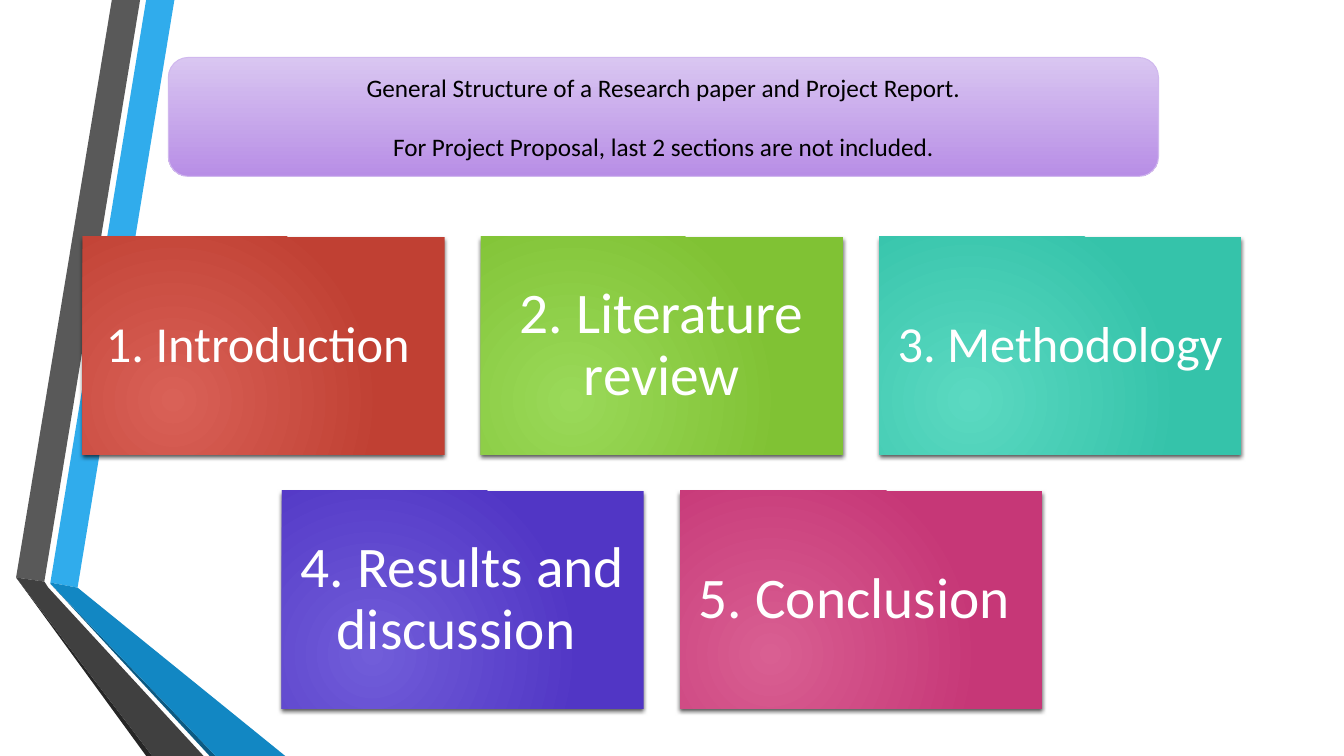
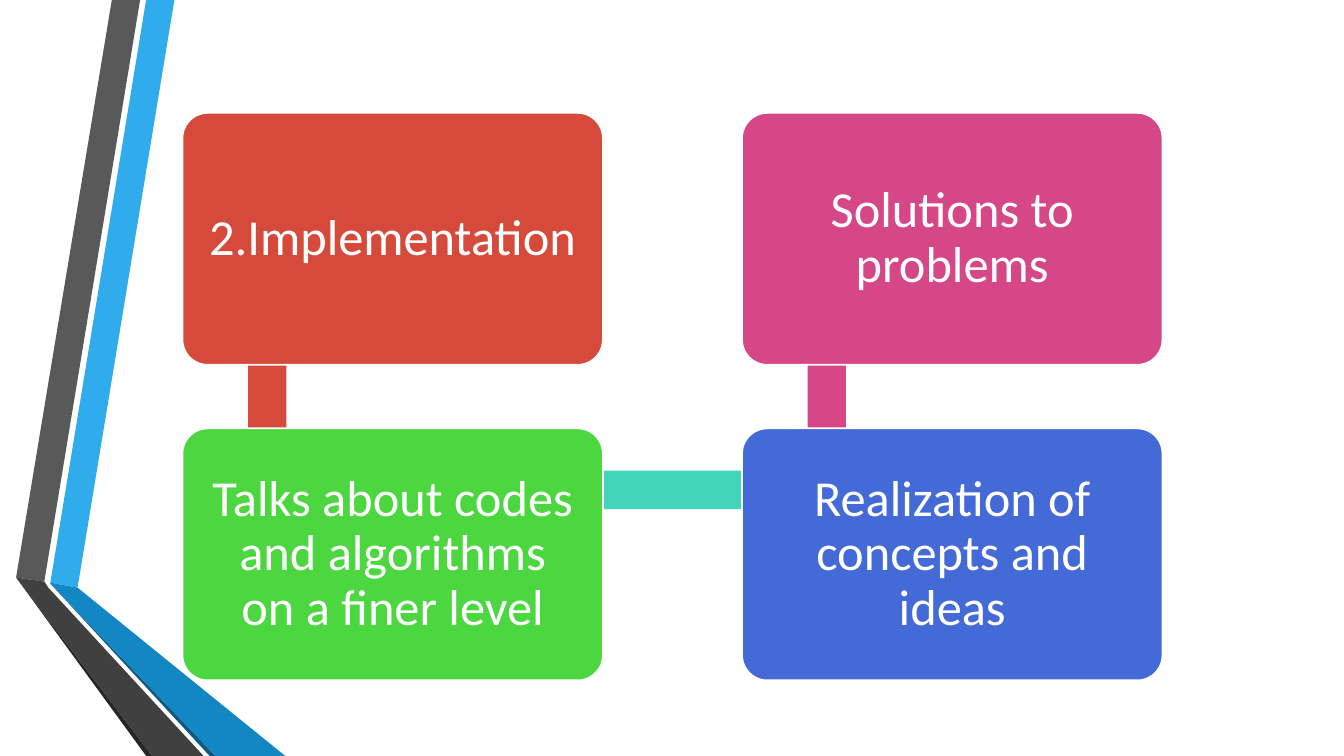
from dataclasses import dataclass
from itertools import product

from lxml.etree import SubElement as Sub
from pptx import Presentation
from pptx.dml.color import RGBColor as Rgb
from pptx.enum.shapes import MSO_SHAPE as Kind
from pptx.enum.text import MSO_ANCHOR as Anchor, PP_ALIGN as Align
from pptx.oxml.ns import qn
from pptx.presentation import Presentation as Deck
from pptx.shapes.autoshape import Shape
from pptx.slide import Slide
from pptx.util import Inches, Pt


@dataclass(frozen=True)
class Theme:
    """Colours, font and type sizes of the deck."""
    font: str = "Calibri"
    small: int = 18
    mid: int = 36
    large: int = 41
    ink: str = "000000"
    paper: str = "FFFFFF"
    edge: str = "D0B8EE"
    head: tuple[str, str] = ("D9C6F1", "B88EE6")
    red: str = "D64A3B"
    green: str = "4CD63F"
    teal: str = "41D6BC"
    blue: str = "436AD6"
    pink: str = "D64787"


@dataclass(frozen=True)
class Grid:
    """Equal cells set out from a corner with fixed gaps."""
    left: float
    top: float
    wide: float
    high: float
    gap_x: float
    gap_y: float

    def cell(self, col: float, row: float) -> tuple[float, float, float, float]:
        """Return the box of a cell in inches."""
        return (self.left + col * (self.wide + self.gap_x),
                self.top + row * (self.high + self.gap_y), self.wide, self.high)


@dataclass(frozen=True)
class Band:
    """One facet of the ribbon along the left edge."""
    fill: str
    dots: tuple[tuple[float, float], ...]


@dataclass(frozen=True)
class Tile:
    """A section of the paper with its two shades."""
    text: str
    tones: tuple[str, str]
    size: int
    pad: float


@dataclass(frozen=True)
class Card:
    """A step of the path with its place on the grid."""
    text: str
    fill: str
    col: int
    row: int


T = Theme()
PARTS = Grid(0.82, 2.35, 3.59, 2.16, 0.36, 0.36)
STEPS = Grid(1.81, 1.12, 4.17, 2.5, 1.38, 0.63)
BAR = 0.38
BANDS = (
    Band("30ACEC", ((0.5, 5.78), (0.77, 5.83), (1.73, 0), (1.45, 0))),
    Band("595959", ((1.39, 0), (1.11, 0), (0.16, 5.73), (0.44, 5.77))),
    Band("262626", ((0.16, 5.73), (1.45, 7.5), (1.51, 7.5))),
    Band("0C5A82", ((0.5, 5.79), (2.08, 7.5), (2.14, 7.5))),
    Band("1287C3", ((0.5, 5.78), (0.5, 5.79), (2.14, 7.5), (2.83, 7.5), (0.77, 5.83))),
    Band("404040", ((2.02, 7.5), (0.48, 5.83), (0.44, 5.77), (0.16, 5.73), (1.51, 7.5))),
)
TILES = (
    Tile("1. Introduction ", ("D96157", "C04033"), T.mid, 0.15),
    Tile("2. Literature review", ("9AD959", "80C234"), T.large, 0.17),
    Tile("3. Methodology ", ("5BD9C1", "35C3AA"), T.mid, 0.15),
    Tile("4. Results and discussion ", ("715DD9", "5136C5"), T.large, 0.17),
    Tile("5. Conclusion ", ("D95F92", "C63777"), T.large, 0.17),
)
CARDS = (
    Card("2.Implementation ", T.red, 0, 0),
    Card("Talks about codes and algorithms on a finer level", T.green, 0, 1),
    Card("Realization of concepts and ideas", T.blue, 1, 1),
    Card("Solutions to problems", T.pink, 1, 0),
)


def paint(shape: Shape, fill: str | tuple[str, str], line: str = "", width: float = 1) -> None:
    """Set a flat or two-tone fill and an optional outline."""
    shape.shadow.inherit = False
    if isinstance(fill, str):
        shape.fill.solid()
        shape.fill.fore_color.rgb = Rgb.from_string(fill)
    else:
        shape.fill.gradient()
        shape.fill.gradient_angle = 270
        for stop, tone in zip(shape.fill.gradient_stops, fill):
            stop.color.rgb = Rgb.from_string(tone)
    if line:
        shape.line.color.rgb = Rgb.from_string(line)
        shape.line.width = Pt(width)
    else:
        shape.line.fill.background()


def block(slide: Slide, kind: Kind, box: tuple[float, float, float, float],
          fill: str | tuple[str, str], line: str = "", width: float = 1) -> Shape:
    """Add a painted preset shape at a box in inches."""
    shape = slide.shapes.add_shape(kind, *map(Inches, box))
    paint(shape, fill, line, width)
    return shape


def write(shape: Shape, text: str, *, size: int = T.mid, color: str = T.paper,
          pad: float = 0.15, lead: float = 0.9, gap: float = 0) -> None:
    """Fill a shape with centred text, one paragraph a line."""
    frame = shape.text_frame
    frame.word_wrap = True
    frame.vertical_anchor = Anchor.MIDDLE
    frame.margin_left = frame.margin_right = Inches(pad)
    frame.margin_top = frame.margin_bottom = Inches(pad)
    for i, line in enumerate(text.split("\n")):
        para = frame.add_paragraph() if i else frame.paragraphs[0]
        para.alignment = Align.CENTER
        para.line_spacing = lead
        if i:
            para.space_before = Pt(gap)
        run = para.add_run()
        run.text = line
        run.font.name = T.font
        run.font.size = Pt(size)
        run.font.color.rgb = Rgb.from_string(color)


def glow(shape: Shape) -> None:
    """Turn a gradient radial and drop a soft shadow below."""
    props = shape.element.spPr
    grad = props.find(qn("a:gradFill"))
    grad.remove(grad.find(qn("a:lin")))
    ring = Sub(grad, qn("a:path"), path="circle")
    Sub(ring, qn("a:fillToRect"), l="50000", t="100000", r="100000", b="50000")
    cast = Sub(props.find(qn("a:effectLst")), qn("a:outerShdw"), blurRad=str(Pt(3)),
               dist=str(Pt(2)), dir="5400000", algn="ctr", rotWithShape="0")
    tone = Sub(cast, qn("a:srgbClr"), val=T.ink)
    Sub(tone, qn("a:alpha"), val="64000")


def ribbon(deck: Deck, slide: Slide) -> None:
    """Build the ribbon and move it to the slide master."""
    tree = deck.slide_master.element.cSld.spTree
    for band in BANDS:
        dots = [(Inches(x), Inches(y)) for x, y in band.dots]
        pen = slide.shapes.build_freeform(*dots[0])
        pen.add_line_segments(dots[1:], close=True)
        shape = pen.convert_to_shape()
        paint(shape, band.fill)
        tree.append(shape.element)


def outline(slide: Slide) -> None:
    """Draw the sections of a paper below a heading panel."""
    cols = 3
    for i, tile in enumerate(TILES):
        row, col = divmod(i, cols)
        count = min(cols, len(TILES) - row * cols)
        box = PARTS.cell(col + (cols - count) / 2, row)
        shape = block(slide, Kind.RECTANGLE, box, tile.tones)
        glow(shape)
        write(shape, tile.text, size=tile.size, pad=tile.pad)
    panel = block(slide, Kind.ROUNDED_RECTANGLE, (1.67, 0.57, 9.82, 1.18),
                  T.head, T.edge, 0.75)
    write(panel, "General Structure of a Research paper and Project Report.\n"
          "For Project Proposal, last 2 sections are not included.",
          size=T.small, color=T.ink, pad=0.05, lead=1, gap=21)


def steps(slide: Slide) -> None:
    """Draw four cards joined by bars that run behind them."""
    spots = {(c, r): STEPS.cell(c, r) for c, r in product(range(2), repeat=2)}
    for col, fill in enumerate((T.red, T.pink)):
        x, y, _, high = spots[col, 0]
        block(slide, Kind.RECTANGLE, (x + 0.65, y + high / 4, BAR, high + STEPS.gap_y), fill)
    x, y, wide, _ = spots[0, 1]
    block(slide, Kind.RECTANGLE, (x + wide / 5, y + 0.42, wide + STEPS.gap_x, BAR), T.teal)
    for card in CARDS:
        shape = block(slide, Kind.ROUNDED_RECTANGLE, spots[card.col, card.row],
                      card.fill, T.paper, 1.25)
        shape.adjustments[0] = 0.1
        write(shape, card.text, pad=0.19)


def main() -> None:
    """Build and save the deck."""
    deck = Presentation()
    deck.slide_width, deck.slide_height = Inches(13.33), Inches(7.5)
    blank = deck.slide_layouts[6]
    first, second = (deck.slides.add_slide(blank) for _ in range(2))
    ribbon(deck, first)
    outline(first)
    steps(second)
    deck.save("out.pptx")


if __name__ == "__main__":
    main()
